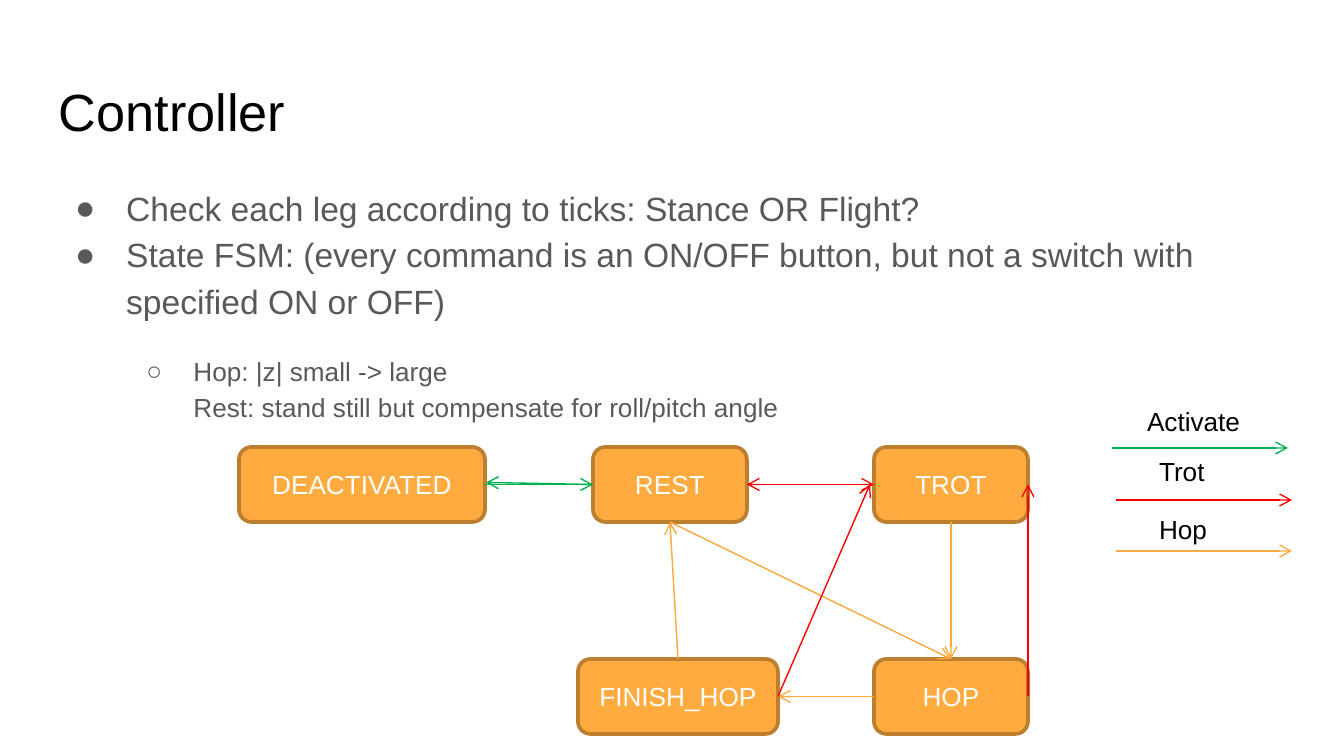
from dataclasses import dataclass

from lxml import etree
from pptx import Presentation
from pptx import util as u
from pptx.dml.color import RGBColor
from pptx.enum import shapes, text
from pptx.oxml import ns

EMU_PER_PX = 914400 / 134.4
FONT = "Arial"
GREEN, RED, ORANGE, AMBER = "00B050", "FF0000", "FEA83A", "FFAB40"
BLACK, GREY, WHITE, BROWN = "000000", "595959", "FFFFFF", "BD7F2F"
TOP, LEFT, BOTTOM, RIGHT = range(4)
ROW_1, ROW_2, STATE_H = 447, 659, 75


@dataclass
class State:
    name: str
    x: int
    y: int
    w: int = 154


@dataclass
class Transition:
    start: str
    start_side: int
    end: str
    end_side: int
    color: str
    dx: int = 0
    dy: int = 0


@dataclass
class Legend:
    label: str
    label_x: int
    label_y: int
    x: int
    y: int
    color: str


@dataclass
class Bullet:
    lines: list[str]
    char: str
    size: int
    margin: float
    indent: float
    level: int = 0
    before: int = 0


STATES = [
    State("TROT", 874, ROW_1),
    State("HOP", 874, ROW_2),
    State("REST", 593, ROW_1),
    State("FINISH_HOP", 578, ROW_2, 200),
    State("DEACTIVATED", 239, ROW_1, 246),
]
TRANSITIONS = [
    Transition("REST", BOTTOM, "HOP", TOP, ORANGE),
    Transition("HOP", LEFT, "FINISH_HOP", RIGHT, ORANGE),
    Transition("FINISH_HOP", TOP, "REST", BOTTOM, ORANGE),
    Transition("TROT", BOTTOM, "HOP", TOP, ORANGE),
    Transition("REST", RIGHT, "TROT", LEFT, RED),
    Transition("TROT", LEFT, "REST", RIGHT, RED),
    Transition("HOP", RIGHT, "TROT", RIGHT, RED),
    Transition("FINISH_HOP", RIGHT, "TROT", LEFT, RED, dx=-4),
    Transition("DEACTIVATED", RIGHT, "REST", LEFT, GREEN),
    Transition("REST", LEFT, "DEACTIVATED", RIGHT, GREEN, dx=1, dy=-2),
]
LEGENDS = [
    Legend("Activate", 1134, 398, 1112, 448, GREEN),
    Legend("Trot", 1146, 448, 1116, 500, RED),
    Legend("Hop", 1146, 506, 1116, 551, AMBER),
]
BULLETS = [
    Bullet(["Check each leg according to ticks: Stance OR Flight?"],
           "●", 18, 0.5, -0.38),
    Bullet(["State FSM: (every command is an ON/OFF button, "
            "but not a switch with specified ON or OFF)"],
           "●", 18, 0.5, -0.38),
    Bullet(["Hop: |z| small -> large",
            "Rest: stand still but compensate for roll/pitch angle"],
           "○", 14, 1, -0.35, level=1, before=16),
]


def px(n: float) -> u.Emu:
    return u.Emu(round(n * EMU_PER_PX))


def rgb(color: str) -> RGBColor:
    return RGBColor.from_string(color)


def add_run(p, words: str, size: int, color: str) -> None:
    r = p.add_run()
    r.text = words
    r.font.name = FONT
    r.font.size = u.Pt(size)
    r.font.color.rgb = rgb(color)


def add_box(s, x: int, y: int, w: int, h: int, pad: int = 7):
    tf = s.shapes.add_textbox(px(x), px(y), px(w), px(h)).text_frame
    tf.word_wrap = True
    tf.margin_left = tf.margin_right = px(13)
    tf.margin_top = tf.margin_bottom = px(pad)
    return tf


def add_bullet(p, b: Bullet) -> None:
    p.level = b.level
    p.line_spacing = 1.15
    p.space_before = u.Pt(b.before)
    pPr = p._p.get_or_add_pPr()
    pPr.set("marL", str(u.Inches(b.margin)))
    pPr.set("indent", str(u.Inches(b.indent)))
    clr = etree.SubElement(pPr, ns.qn("a:buClr"))
    etree.SubElement(clr, ns.qn("a:srgbClr"), val=GREY)
    etree.SubElement(pPr, ns.qn("a:buFont"), typeface=FONT)
    etree.SubElement(pPr, ns.qn("a:buChar"), char=b.char)
    for i, line in enumerate(b.lines):
        if i:
            p.add_line_break()
        add_run(p, line, b.size, GREY)


def add_state(s, state: State):
    sp = s.shapes.add_shape(shapes.MSO_SHAPE.ROUNDED_RECTANGLE,
                            px(state.x), px(state.y), px(state.w), px(STATE_H))
    sp.shadow.inherit = False
    sp.fill.solid()
    sp.fill.fore_color.rgb = rgb(AMBER)
    sp.line.color.rgb = rgb(BROWN)
    sp.line.width = u.Pt(2)
    tf = sp.text_frame
    tf.vertical_anchor = text.MSO_ANCHOR.MIDDLE
    p = tf.paragraphs[0]
    p.alignment = text.PP_ALIGN.CENTER
    add_run(p, state.name, 14, WHITE)
    return sp


def add_arrow(s, color: str, x1: int = 0, y1: int = 0, x2: int = 0, y2: int = 0):
    cx = s.shapes.add_connector(shapes.MSO_CONNECTOR.STRAIGHT,
                                px(x1), px(y1), px(x2), px(y2))
    cx.line.color.rgb = rgb(color)
    cx.line.width = u.Pt(0.75)
    etree.SubElement(cx.line._get_or_add_ln(), ns.qn("a:tailEnd"), type="arrow")
    etree.SubElement(cx._element.spPr, ns.qn("a:effectLst"))
    return cx


def add_transition(s, t: Transition, nodes: dict) -> None:
    cx = add_arrow(s, t.color)
    cx.begin_connect(nodes[t.start], t.start_side)
    if not (t.dx or t.dy):
        cx.end_connect(nodes[t.end], t.end_side)
        return
    target = nodes[t.end]
    edge = target.left + (target.width if t.end_side == RIGHT else 0)
    cx.end_x = edge + px(t.dx)
    cx.end_y = target.top + target.height // 2 + px(t.dy)


def add_legend(s, g: Legend) -> None:
    add_arrow(s, g.color, g.x, g.y, g.x + 176, g.y)
    tf = add_box(s, g.label_x, g.label_y, 141, 46)
    add_run(tf.paragraphs[0], g.label, 14, BLACK)


def main() -> None:
    prs = Presentation()
    prs.slide_width, prs.slide_height = px(1344), px(756)
    s = prs.slides.add_slide(prs.slide_layouts[6])
    add_run(add_box(s, 46, 66, 1252, 85, 13).paragraphs[0], "Controller", 28, BLACK)
    body = add_box(s, 46, 169, 1252, 503, 13)
    for i, b in enumerate(BULLETS):
        add_bullet(body.add_paragraph() if i else body.paragraphs[0], b)
    nodes = {state.name: add_state(s, state) for state in STATES}
    for t in TRANSITIONS:
        add_transition(s, t, nodes)
    for g in LEGENDS:
        add_legend(s, g)
    prs.save("out.pptx")


main()
